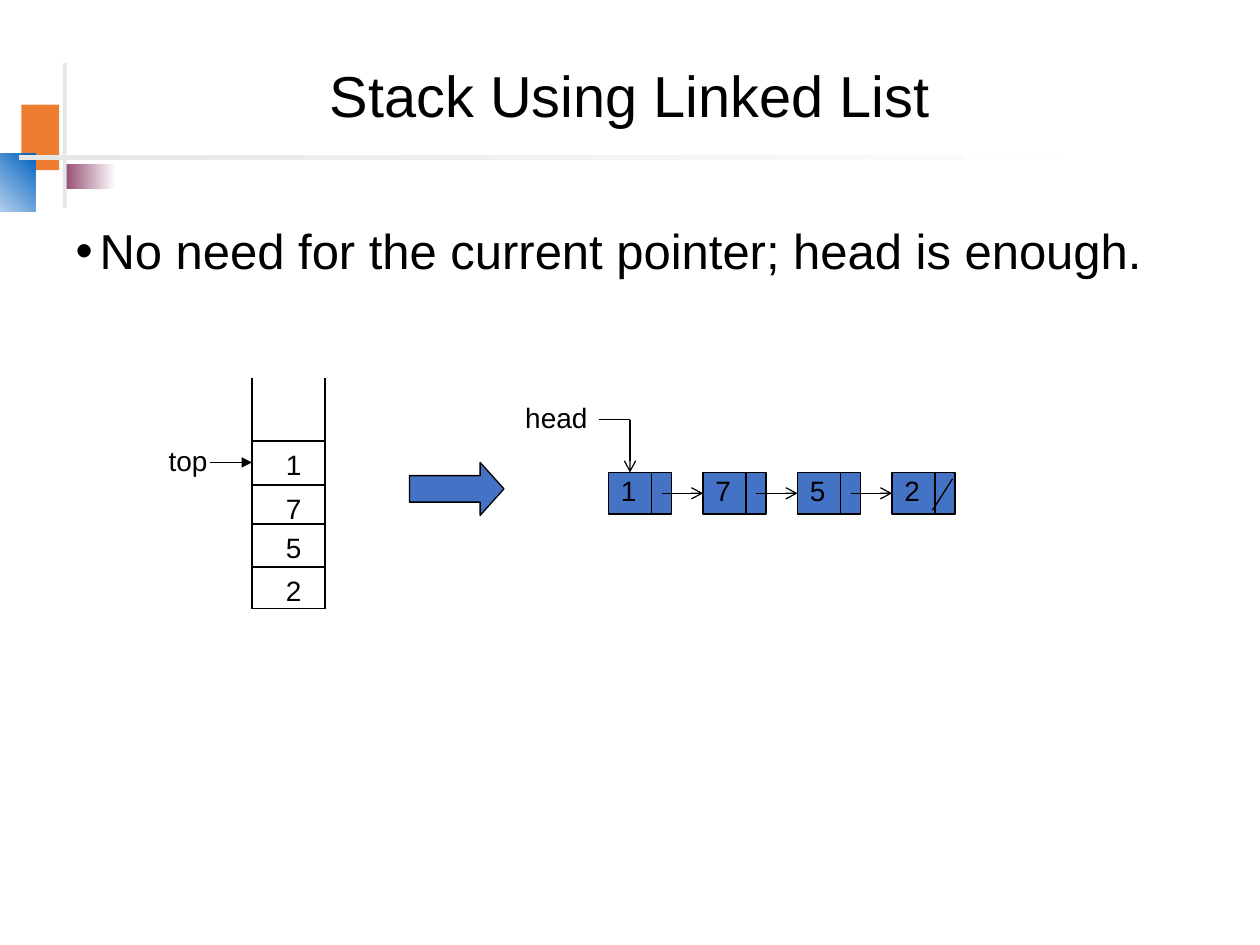
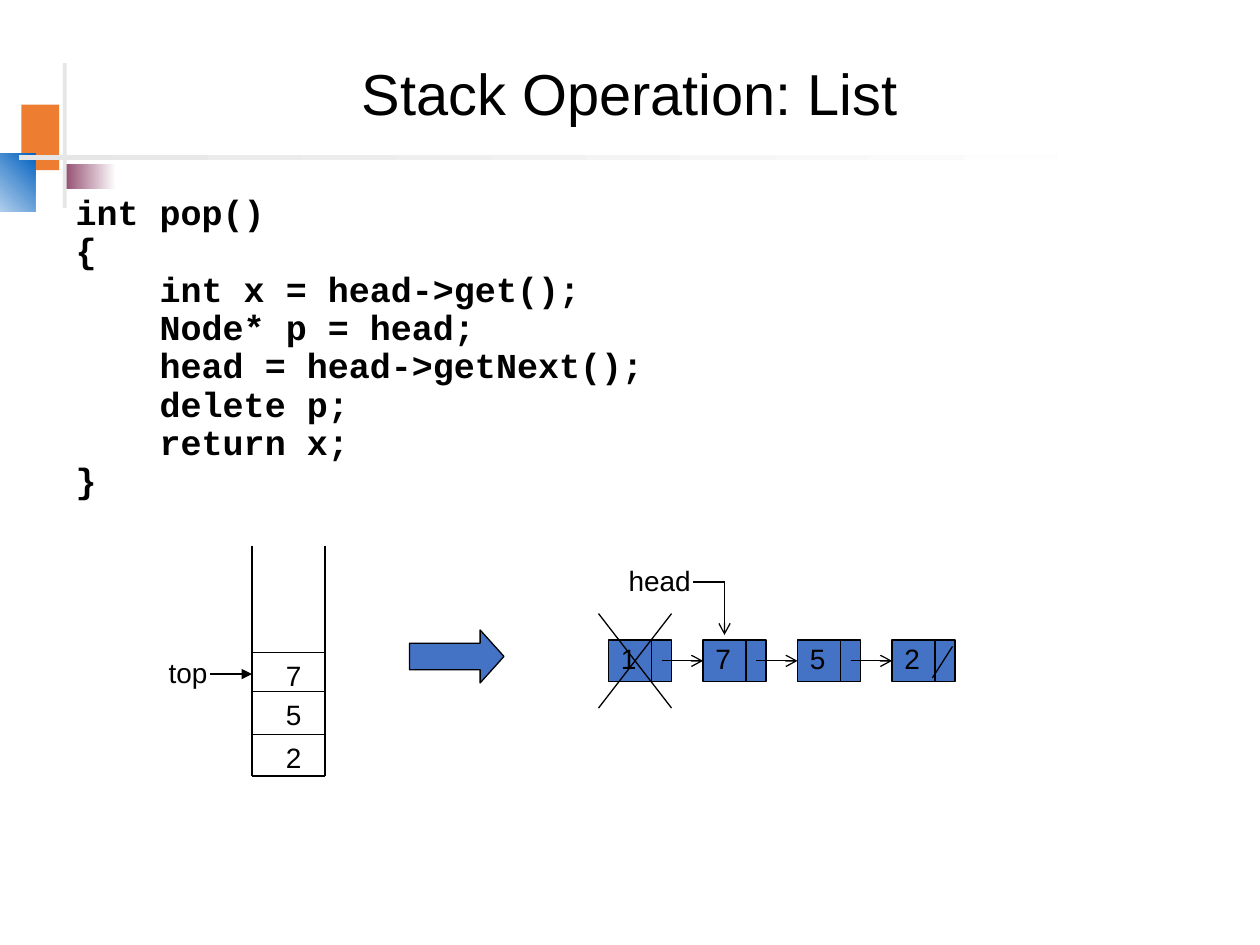
from dataclasses import dataclass

from pptx import Presentation
from pptx.dml.color import RGBColor
from pptx.enum.shapes import MSO_CONNECTOR, MSO_SHAPE
from pptx.enum.text import MSO_ANCHOR, MSO_AUTO_SIZE, PP_ALIGN
from pptx.oxml.ns import qn
from pptx.oxml.xmlchemy import OxmlElement
from pptx.util import Inches, Pt


@dataclass(frozen=True)
class Theme:
    ink: str = "000000"
    paper: str = "FFFFFF"
    node: str = "4472C4"
    orange: str = "ED7D31"
    plum: str = "954F72"
    blue: str = "0563C1"
    rule: str = "E7E6E6"
    font: str = "Arial"
    code_font: str = "Courier New"
    title_size: float = 33
    bullet_size: float = 28
    code_size: float = 20
    label_size: float = 16
    line_width: float = 0.75


THEME = Theme()

STACK_LEFT, STACK_RIGHT, STACK_HEIGHT = 2, 2.58, 1.83
CELL_RISES = (0.33, 0.67, 0.98, 1.33)  # cell tops above the stack's floor
LABEL_HEIGHT = 0.37
NODE_LEFT, NODE_WIDTH, NODE_HEIGHT, NODE_PITCH = 4.83, 0.5, 0.33, 0.75
LIST_VALUES = "1752"

POP_CODE = """int pop()
{
    int x = head->get();
    Node* p = head;
    head = head->getNext();
    delete p;
    return x;
}"""


def apply(target, values):
    for name, value in values.items():
        setattr(target, name, value)


def style_font(font, size, name=THEME.font, bold=False):
    apply(font, {"size": Pt(size), "name": name, "bold": bold})
    font.color.rgb = RGBColor.from_string(THEME.ink)


def place(shape, left, top, width, height):
    apply(shape, {"left": Inches(left), "top": Inches(top),
                  "width": Inches(width), "height": Inches(height)})


def add_block(slide, box, colors, angle=0, kind=MSO_SHAPE.RECTANGLE, outlined=False):
    """Add a filled shape; two colours make a gradient."""
    shape = slide.shapes.add_shape(kind, *map(Inches, box))
    shape.shadow.inherit = False
    if len(colors) == 1:
        shape.fill.solid()
        shape.fill.fore_color.rgb = RGBColor.from_string(colors[0])
    else:
        shape.fill.gradient()
        shape.fill.gradient_angle = angle
        for stop, color in zip(shape.fill.gradient_stops, colors):
            stop.color.rgb = RGBColor.from_string(color)
    if outlined:
        shape.line.color.rgb = RGBColor.from_string(THEME.ink)
        shape.line.width = Pt(THEME.line_width)
    else:
        shape.line.fill.background()
    return shape


def add_line(slide, start, end, arrowhead=None):
    connector = slide.shapes.add_connector(
        MSO_CONNECTOR.STRAIGHT, *map(Inches, (*start, *end)))
    connector.line.color.rgb = RGBColor.from_string(THEME.ink)
    connector.line.width = Pt(THEME.line_width)
    properties = connector.element.spPr
    if arrowhead:
        tail = OxmlElement("a:tailEnd")
        tail.set("type", arrowhead)
        properties.find(qn("a:ln")).append(tail)
    properties.append(OxmlElement("a:effectLst"))
    return connector


def add_label(slide, text, left, top, width=0.32):
    label = slide.shapes.add_textbox(*map(Inches, (left, top, width, LABEL_HEIGHT)))
    apply(label.text_frame, {"word_wrap": False,
                             "auto_size": MSO_AUTO_SIZE.SHAPE_TO_FIT_TEXT})
    paragraph = label.text_frame.paragraphs[0]
    paragraph.text = text
    style_font(paragraph.font, THEME.label_size)


def add_layout_decor(slide, layout):
    """Draw the corner decoration and move it to the layout that slides share."""
    blocks = (
        ((0.17, 0.83, 0.3, 0.52), (THEME.orange,), 0),
        ((0.52, 1.3, 0.4, 0.2), (THEME.plum, THEME.paper), 0),
        ((-0.33, 1.22, 0.61, 0.46), (THEME.paper, THEME.blue), 45),
        ((0.5, 0.5, 0.03, 1.15), (THEME.rule,), 0),
        ((0.15, 1.23, 9, 0.04), (THEME.rule, THEME.paper), 0),
    )
    for box, colors, angle in blocks:
        shape = add_block(slide, box, colors, angle)
        layout.shapes.element.append(shape.element)


def set_title(slide, text, height):
    title = slide.shapes.title
    place(title, 0.5, 0.4, 9, height)
    title.text_frame.text = text
    apply(title.text_frame, {"vertical_anchor": MSO_ANCHOR.MIDDLE,
                             "auto_size": MSO_AUTO_SIZE.NONE})
    paragraph = title.text_frame.paragraphs[0]
    apply(paragraph, {"alignment": PP_ALIGN.CENTER, "line_spacing": 0.9})
    style_font(paragraph.font, THEME.title_size)


def set_body(slide, lines, top, height, line_spacing, font, bullet=None):
    body = slide.placeholders[1]
    place(body, 0.5, top, 9, height)
    frame = body.text_frame
    frame.text = "\n".join(lines)
    frame.auto_size = MSO_AUTO_SIZE.NONE
    for index, paragraph in enumerate(frame.paragraphs):
        apply(paragraph, {"line_spacing": line_spacing,
                          "space_before": Pt(7.5 if index else 0)})
        properties = paragraph._p.get_or_add_pPr()
        properties.set("marL", str(Inches(0.19)))
        properties.set("indent", str(Inches(-0.19)))
        mark = OxmlElement("a:buChar" if bullet else "a:buNone")
        if bullet:
            mark.set("char", bullet)
        properties.append(mark)
        style_font(paragraph.font, **font)


def add_stack(slide, top, values):
    """Draw an open-topped stack; values run from the bottom up."""
    floor = top + STACK_HEIGHT
    for x in (STACK_LEFT, STACK_RIGHT):
        add_line(slide, (x, top), (x, floor))
    add_line(slide, (STACK_LEFT, floor), (STACK_RIGHT, floor))
    for value, rise in zip(values, CELL_RISES):
        cell_top = floor - rise
        add_line(slide, (STACK_LEFT, cell_top), (STACK_RIGHT, cell_top))
        add_label(slide, value, 2.17, cell_top)
    pointer = cell_top + 0.17
    add_label(slide, "top", 1.24, pointer - 0.2, 0.51)
    add_line(slide, (1.67, pointer), (STACK_LEFT, pointer), "triangle")


def add_linked_list(slide, top, values):
    middle, bottom = top + NODE_HEIGHT / 2, top + NODE_HEIGHT
    previous_left = None
    for index, value in enumerate(values):
        left = NODE_LEFT + index * NODE_PITCH
        node = add_block(slide, (left, top, NODE_WIDTH, NODE_HEIGHT),
                         (THEME.node,), outlined=True)
        add_line(slide, (left + 0.34, top), (left + 0.34, bottom))
        add_label(slide, value, left, top - 0.04)
        if previous_left is not None:
            link = add_line(slide, (previous_left + 0.42, middle), (left, middle), "arrow")
            link.end_connect(node, 1)
        previous_left = left
    add_line(slide, (left + 0.48, top + 0.05), (left + 0.32, top + 0.3))


def add_head_pointer(slide, label_left, line_left, y):
    corner = line_left + 0.25
    add_label(slide, "head", label_left, y - 0.2, 0.69)
    add_line(slide, (line_left, y), (corner, y))
    add_line(slide, (corner, y), (corner, y + 0.42), "arrow")


def add_diagram(slide, top, stack_values):
    add_stack(slide, top, stack_values)
    arrow = add_block(slide, (3.25, top + 0.67, 0.75, 0.42), (THEME.node,),
                      kind=MSO_SHAPE.RIGHT_ARROW, outlined=True)
    arrow.adjustments[1] = 0.45
    add_linked_list(slide, top + 0.75, LIST_VALUES)


def cross_out(slide, left, top, right, bottom):
    add_line(slide, (right, top), (left, bottom))
    add_line(slide, (left, top), (right, bottom))


def build_stack_slide(slide):
    set_title(slide, "Stack Using Linked List", 0.77)
    set_body(slide, ["No need for the current pointer; head is enough."],
             1.75, 0.67, 0.9, {"size": THEME.bullet_size}, "•")
    add_diagram(slide, 3, "2571")
    add_head_pointer(slide, 4.07, 4.75, 3.33)


def build_pop_slide(slide):
    set_title(slide, "Stack Operation: List", 0.73)
    code_font = {"size": THEME.code_size, "name": THEME.code_font, "bold": True}
    set_body(slide, POP_CODE.splitlines(), 1.58, 2.58, 0.6, code_font)
    add_diagram(slide, 4.33, "257")
    add_head_pointer(slide, 4.89, 5.5, 4.62)
    cross_out(slide, 4.75, 4.87, 5.33, 5.62)


def main():
    presentation = Presentation()
    apply(presentation, {"slide_width": Inches(10), "slide_height": Inches(7.5)})
    layout = presentation.slide_layouts[1]
    stack_slide, pop_slide = (presentation.slides.add_slide(layout) for _ in range(2))
    add_layout_decor(stack_slide, layout)
    build_stack_slide(stack_slide)
    build_pop_slide(pop_slide)
    presentation.save("out.pptx")


if __name__ == "__main__":
    main()
